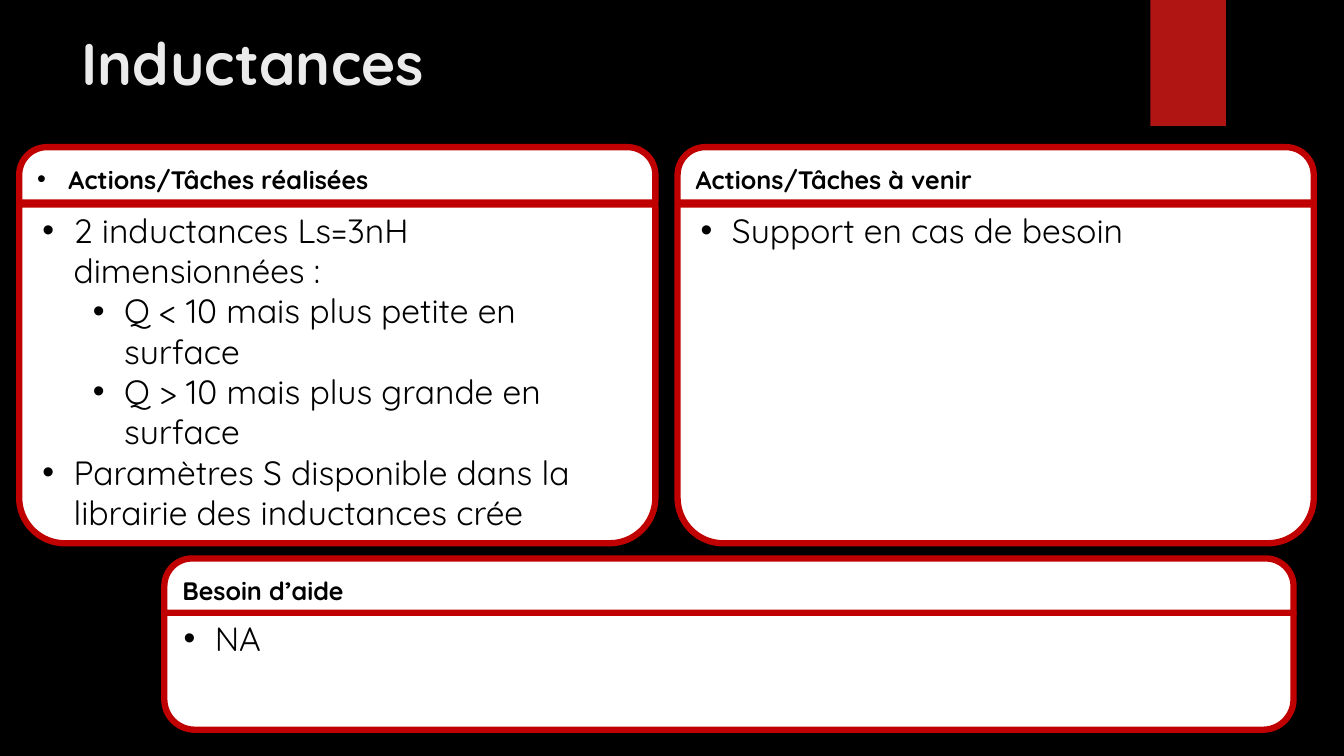
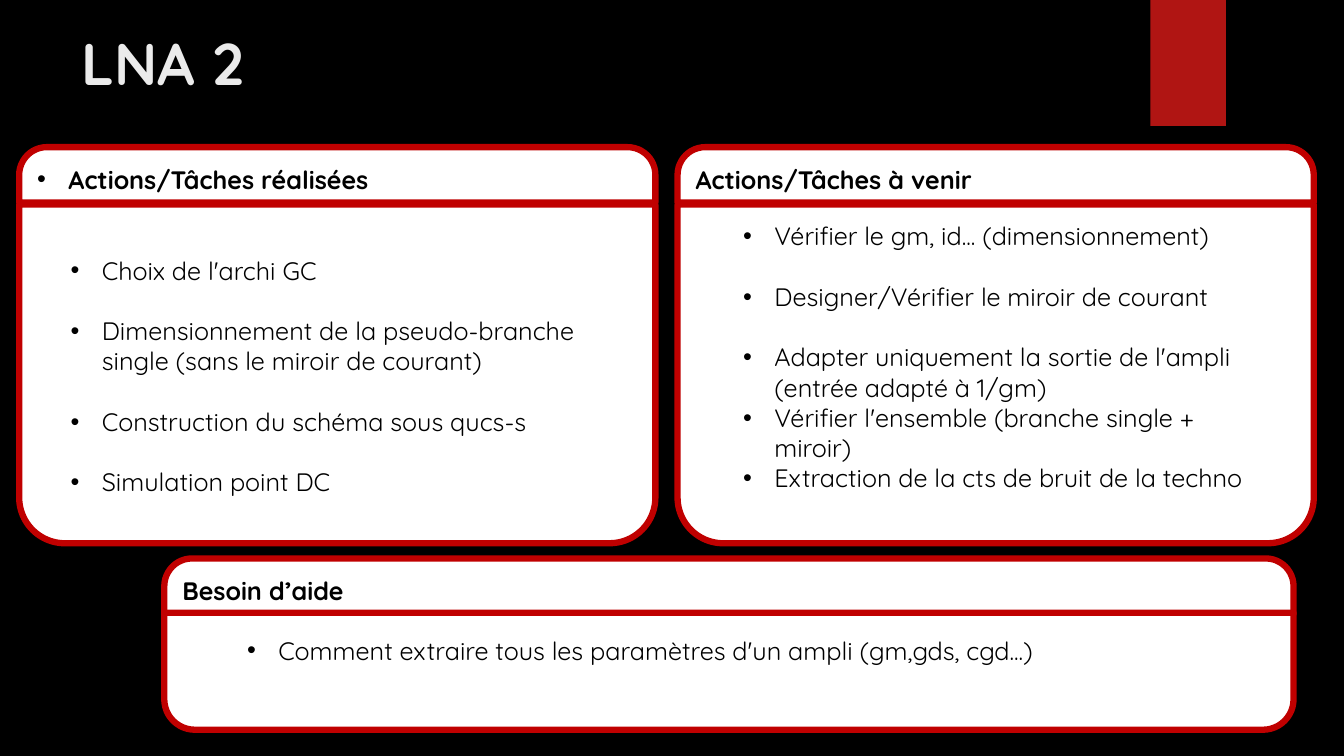
from collections import namedtuple
from dataclasses import dataclass

from lxml import etree
from pptx import Presentation
from pptx.dml.color import RGBColor
from pptx.enum.shapes import MSO_SHAPE as Shape
from pptx.enum.text import MSO_ANCHOR as Anchor, MSO_AUTO_SIZE as AutoSize, PP_ALIGN as Align
from pptx.oxml.ns import qn
from pptx.util import Inches, Pt


@dataclass(frozen=True)
class Theme:
    font: str = "Quicksand"
    back: str = "000000"
    panel: str = "FFFFFF"
    border: str = "C00000"
    band: str = "B01513"
    title: str = "EBEBEB"
    ink: str = "000000"
    title_size: int = 42
    large: int = 24
    normal: int = 18
    border_width: float = 4.5
    item_gap: float = 21.6


T = Theme()
Item = namedtuple("Item", "text level gap", defaults=(0, False))
Panel = namedtuple("Panel", "heading bullet left top width body_top body_height radius holder")

# Content: panels common to both slides
HEAD_HEIGHT = 0.55
PANELS = {
    "done": Panel("Actions/Tâches réalisées", True, 0.19, 1.46, 6.31, 2.03, 3.36, 0.135, 2),
    "next": Panel("Actions/Tâches à venir", False, 6.72, 1.46, 6.31, 2.03, 3.36, 0.135, 4),
    "help": Panel("Besoin d’aide", False, 1.63, 5.54, 11.2, 6.08, 1.16, 0.261, 1),
}

# Content: lists of each slide; "boxes" places lists away from the panel edge
SLIDES = [
    {
        "title": "Inductances",
        "size": T.large,
        "boxes": {},
        "done": [
            Item("2 inductances Ls=3nH dimensionnées :"),
            Item("Q < 10 mais plus petite en surface", 1),
            Item("Q > 10 mais plus grande en surface", 1),
            Item("Paramètres S disponible dans la librairie des inductances crée"),
        ],
        "next": [Item("Support en cas de besoin")],
        "help": [Item("NA")],
    },
    {
        "title": "LNA 2",
        "size": T.normal,
        "boxes": {
            "done": (0.6, 2.48, 5.57, 2.52),
            "next": (7.27, 2.14, 5.21, 3.13),
            "help": (2.35, 6.25, 8.36, 0.71),
        },
        "done": [
            Item("Choix de l'archi GC"),
            Item("Dimensionnement de la pseudo-branche single (sans le miroir de courant)", gap=True),
            Item("Construction du schéma sous qucs-s", gap=True),
            Item("Simulation point DC", gap=True),
        ],
        "next": [
            Item("Vérifier le gm, id... (dimensionnement)"),
            Item("Designer/Vérifier le miroir de courant", gap=True),
            Item("Adapter uniquement la sortie de l'ampli (entrée adapté à 1/gm)", gap=True),
            Item("Vérifier l'ensemble (branche single + miroir)"),
            Item("Extraction de la cts de bruit de la techno"),
        ],
        "help": [Item("Comment extraire tous les paramètres d'un ampli (gm,gds, cgd...)")],
    },
]


def color(value):
    return RGBColor.from_string(value)


def place(sp, box):
    sp.left, sp.top, sp.width, sp.height = (Inches(v) for v in box)


def write(p, text, size=T.normal, ink=T.ink, bold=False, bullet=False, level=0, before=0):
    """Fill one paragraph with formatted text."""
    p.alignment = Align.LEFT
    p.level = level
    p.space_before = Pt(before)
    if bullet:
        pPr = p._p.get_or_add_pPr()
        pPr.set("marL", str(Inches(0.31 + 0.5 * level)))
        pPr.set("indent", str(Inches(-0.31)))
        etree.SubElement(pPr, qn("a:buFont")).set("typeface", "Arial")
        etree.SubElement(pPr, qn("a:buChar")).set("char", "•")
    r = p.add_run()
    r.text = text
    r.font.name, r.font.size, r.font.bold = T.font, Pt(size), bold
    r.font.color.rgb = color(ink)


def frame(sp, anchor=Anchor.TOP):
    tf = sp.text_frame
    tf.word_wrap = True
    tf.auto_size = AutoSize.NONE
    tf.vertical_anchor = anchor
    return tf


def add_block(slide, kind, box, fill, border=None, radii=()):
    sp = slide.shapes.add_shape(kind, *(Inches(v) for v in box))
    sp.shadow.inherit = False
    sp.fill.solid()
    sp.fill.fore_color.rgb = color(fill)
    if border:
        sp.line.color.rgb = color(border)
        sp.line.width = Pt(T.border_width)
    else:
        sp.line.fill.background()
    for i, radius in enumerate(radii):
        sp.adjustments[i] = radius
    return sp


def add_panel(slide, panel):
    """Draw the heading tab and the body below it."""
    parts = (
        (panel.top, HEAD_HEIGHT, (0.5, 0)),
        (panel.body_top, panel.body_height, (0, panel.radius)),
    )
    head, _ = [
        add_block(slide, Shape.ROUND_2_SAME_RECTANGLE, (panel.left, top, panel.width, height),
                  T.panel, T.border, radii)
        for top, height, radii in parts
    ]
    write(frame(head, Anchor.MIDDLE).paragraphs[0], panel.heading, bold=True, bullet=panel.bullet)


def list_box(panel):
    """Area of the body that stays clear of its rounded corners."""
    inset = round(0.29 * panel.radius * panel.body_height, 2)
    return panel.left + inset, panel.body_top, panel.width - 2 * inset, panel.body_height


def fill_list(slide, panel, items, size, box):
    sp = slide.placeholders[panel.holder]
    place(sp, box)
    tf = frame(sp)
    for i, item in enumerate(items):
        p = tf.add_paragraph() if i else tf.paragraphs[0]
        write(p, item.text, size=size, bullet=True, level=item.level,
              before=T.item_gap if item.gap else 0)
    slide.shapes.element.append(sp.element)  # bring in front of the panel


def add_slide(prs, layout, data):
    slide = prs.slides.add_slide(layout)
    place(slide.shapes.title, (0.71, 0.21, 10.29, 1.53))
    write(frame(slide.shapes.title).paragraphs[0], data["title"],
          size=T.title_size, ink=T.title, bold=True)
    spare = slide.placeholders[3].element
    spare.getparent().remove(spare)
    for panel in PANELS.values():
        add_panel(slide, panel)
    for name, panel in PANELS.items():
        fill_list(slide, panel, data[name], data["size"], data["boxes"].get(name, list_box(panel)))
    return slide


def main():
    prs = Presentation()
    prs.slide_width, prs.slide_height = Inches(13.33), Inches(7.5)
    layout = prs.slide_layouts.get_by_name("Comparison")

    # Shared background
    back = prs.slide_master.background.fill
    back.solid()
    back.fore_color.rgb = color(T.back)

    slides = [add_slide(prs, layout, data) for data in SLIDES]

    # Shared red band, moved to the layout
    band = add_block(slides[0], Shape.RECTANGLE, (11.41, 0, 0.75, 1.25), T.band)
    layout.shapes.element.append(band.element)

    prs.save("out.pptx")


if __name__ == "__main__":
    main()
